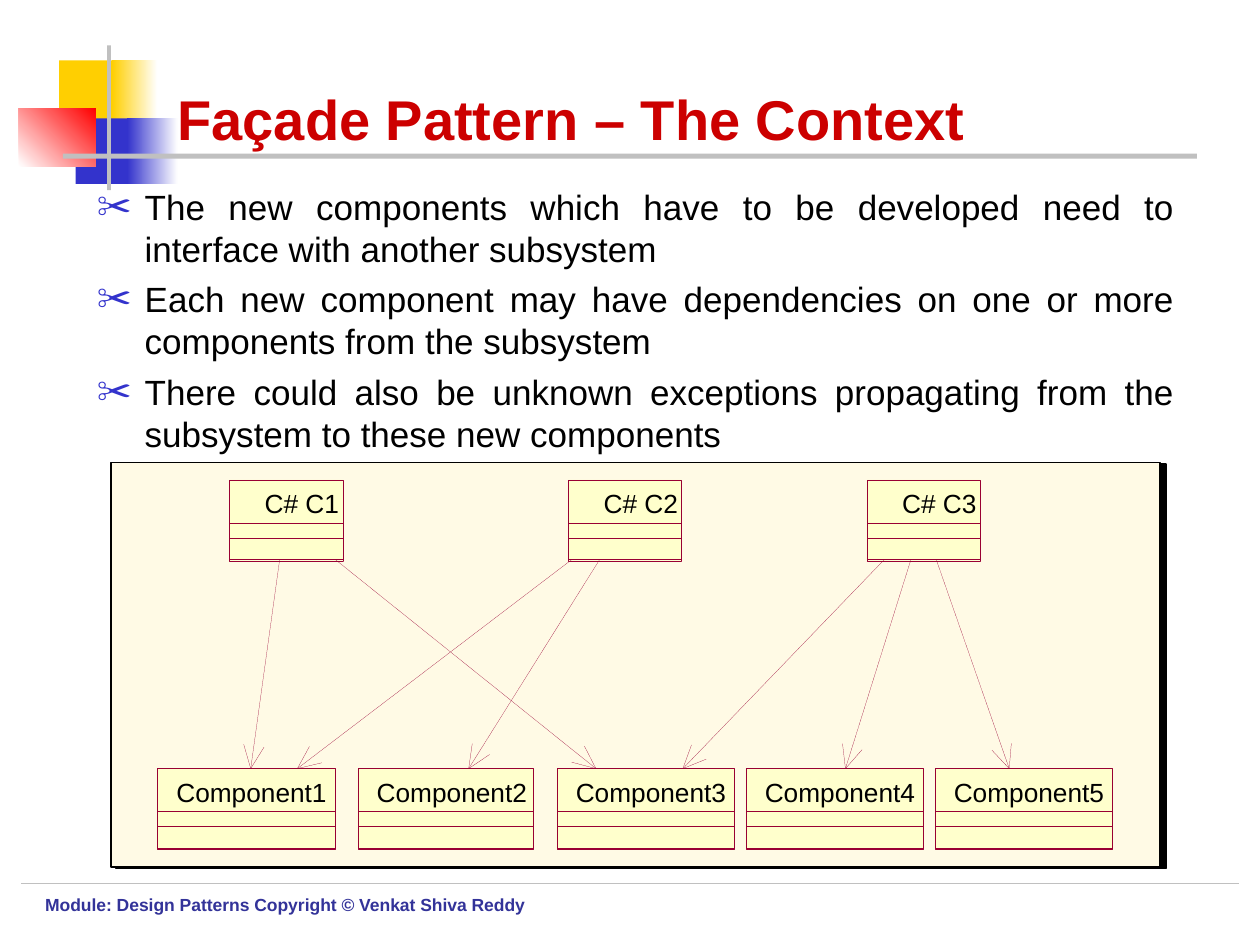
from dataclasses import dataclass
from math import atan2, cos, radians, sin

from lxml.etree import SubElement
from pptx import Presentation
from pptx.dml.color import RGBColor
from pptx.enum.dml import MSO_LINE
from pptx.enum.shapes import MSO_CONNECTOR, MSO_SHAPE
from pptx.enum.text import MSO_ANCHOR, PP_ALIGN
from pptx.oxml.ns import qn
from pptx.util import Inches, Pt


@dataclass(frozen=True)
class Theme:
    font: str = "Arial"
    white: str = "FFFFFF"
    black: str = "000000"
    gold: str = "FFCF01"
    blue: str = "3333CC"
    red: str = "FF0000"
    gray: str = "C0C0C0"
    title: str = "CC0000"
    footer: str = "333399"
    panel: str = "FFFAE5"
    box: str = "FFFFCC"
    edge: str = "990033"
    title_size: int = 32
    body_size: int = 20
    label_size: int = 15
    footer_size: int = 10
    hair: float = 0.1


class Deck:
    def __init__(self, theme):
        self.theme = theme
        self.file = Presentation()
        self.file.slide_width, self.file.slide_height = Inches(10), Inches(7.5)
        self.slide = self.file.slides.add_slide(self.file.slide_layouts[6])

    def rect(self, x, y, w, h, fill=None, edge=None, width=None):
        shape = self.slide.shapes.add_shape(
            MSO_SHAPE.RECTANGLE, Inches(x), Inches(y), Inches(w), Inches(h))
        shape.shadow.inherit = False
        if fill:
            shape.fill.solid()
            shape.fill.fore_color.rgb = RGBColor.from_string(fill)
        else:
            shape.fill.background()
        if edge:
            shape.line.color.rgb = RGBColor.from_string(edge)
            shape.line.width = Pt(width or self.theme.hair)
        else:
            shape.line.fill.background()
        return shape

    def fade(self, x, y, w, h, start, end, angle=0):
        fill = self.rect(x, y, w, h).fill
        fill.gradient()
        fill.gradient_angle = angle
        for stop, color in zip(fill.gradient_stops, (start, end)):
            stop.color.rgb = RGBColor.from_string(color)

    def panel(self, x, y, w, h):
        shape = self.rect(x, y, w, h, self.theme.panel, self.theme.black, 1)
        effects = shape._element.spPr.find(qn("a:effectLst"))
        shadow = SubElement(effects, qn("a:outerShdw"), dist=str(Pt(3.2)),
                            dir=str(18 * 60000), algn="tl", rotWithShape="0")
        SubElement(shadow, qn("a:srgbClr"), val=self.theme.black)

    def line(self, start, end, color, width=None, dash=None):
        line = self.slide.shapes.add_connector(
            MSO_CONNECTOR.STRAIGHT, *map(Inches, (*start, *end)))
        line.line.color.rgb = RGBColor.from_string(color)
        line.line.width = Pt(width or self.theme.hair)
        if dash:
            line.line.dash_style = dash
        SubElement(line._element.spPr, qn("a:effectLst"))

    def arrow(self, start, end):
        edge = self.theme.edge
        self.line(start, end, edge, dash=MSO_LINE.SQUARE_DOT)
        back = atan2(start[1] - end[1], start[0] - end[0])
        for turn in (radians(24), radians(-24)):
            barb = (end[0] + 0.2 * cos(back + turn), end[1] + 0.2 * sin(back + turn))
            self.line(end, barb, edge)

    def text(self, x, y, w, h, lines, size, color, bold=False, inset=True,
             anchor=MSO_ANCHOR.TOP, bullet=None):
        frame = self.slide.shapes.add_textbox(
            Inches(x), Inches(y), Inches(w), Inches(h)).text_frame
        frame.word_wrap = True
        frame.vertical_anchor = anchor
        if not inset:
            frame.margin_left = frame.margin_right = 0
            frame.margin_top = frame.margin_bottom = 0
        for i, words in enumerate(lines):
            para = frame.paragraphs[0] if i == 0 else frame.add_paragraph()
            para.text = words
            if bullet:
                self.bullet(para, bullet)
                para.alignment = PP_ALIGN.JUSTIFY
                if i:
                    para.space_before = Pt(5)
            font = para.font
            font.name, font.size, font.bold = self.theme.font, Pt(size), bold
            font.color.rgb = RGBColor.from_string(color)

    def bullet(self, para, mark):
        props = para._p.get_or_add_pPr()
        props.set("marL", str(Inches(0.38)))
        props.set("indent", str(Inches(-0.38)))
        SubElement(SubElement(props, qn("a:buClr")), qn("a:srgbClr"), val=self.theme.blue)
        SubElement(props, qn("a:buFont"), typeface=self.theme.font)
        SubElement(props, qn("a:buChar"), char=mark)

    def node(self, x, y, w, label, pad):
        t = self.theme
        self.rect(x, y, w, 0.64, t.box, t.edge)
        self.text(x + pad, y + 0.06, w - pad, 0.25, [label],
                  t.label_size, t.black, inset=False)
        for drop, h in ((0.34, 0.29), (0.46, 0.17)):
            self.rect(x, y + drop, w, h, edge=t.edge)


def main():
    t = Theme()
    deck = Deck(t)

    deck.rect(0.47, 0.48, 0.48, 0.52, t.gold)
    deck.fade(0.89, 0.48, 0.36, 0.52, t.gold, t.white)
    deck.rect(0.6, 0.94, 0.46, 0.52, t.blue)
    deck.fade(1.01, 0.94, 0.4, 0.52, t.blue, t.white)
    deck.fade(0.15, 0.86, 0.61, 0.46, t.white, t.red, 45)
    deck.rect(0.85, 0.36, 0.03, 1.15, t.gray)
    deck.rect(0.5, 1.22, 9, 0.04, t.gray)
    deck.line((0.17, 7.01), (9.83, 7.01), t.gray, 0.25)

    deck.text(1.31, 0.25, 8.52, 1, ["Façade Pattern – The Context"],
              t.title_size, t.title, bold=True, anchor=MSO_ANCHOR.BOTTOM)
    deck.text(0.67, 1.42, 8.75, 5.58, [
        "The new components which have to be developed need to interface with another subsystem",
        "Each new component may have dependencies on one or more components from the subsystem",
        "There could also be unknown exceptions propagating from the subsystem to these new components",
    ], t.body_size, t.black, bullet="✂")
    deck.text(0.26, 7.05, 4.24, 0.4,
              ["Module: Design Patterns Copyright © Venkat Shiva Reddy"],
              t.footer_size, t.footer, bold=True)

    deck.panel(0.88, 3.67, 8.33, 3.21)
    for i, x in enumerate((1.25, 2.84, 4.42, 5.92, 7.42), 1):
        deck.node(x, 6.1, 1.39 if i == 2 else 1.41, f"Component{i}", 0.15)
    for i, x in enumerate((1.82, 4.51, 6.88), 1):
        deck.node(x, 3.81, 0.9, f"C# C{i}", 0.28)

    links = ((2.22, 1.99), (2.66, 4.73), (4.76, 3.72), (4.54, 2.36),
             (7.23, 6.71), (7.43, 8.01), (7.02, 5.42))
    for top, foot in links:
        deck.arrow((top, 4.44), (foot, 6.1))

    deck.file.save("out.pptx")


if __name__ == "__main__":
    main()
